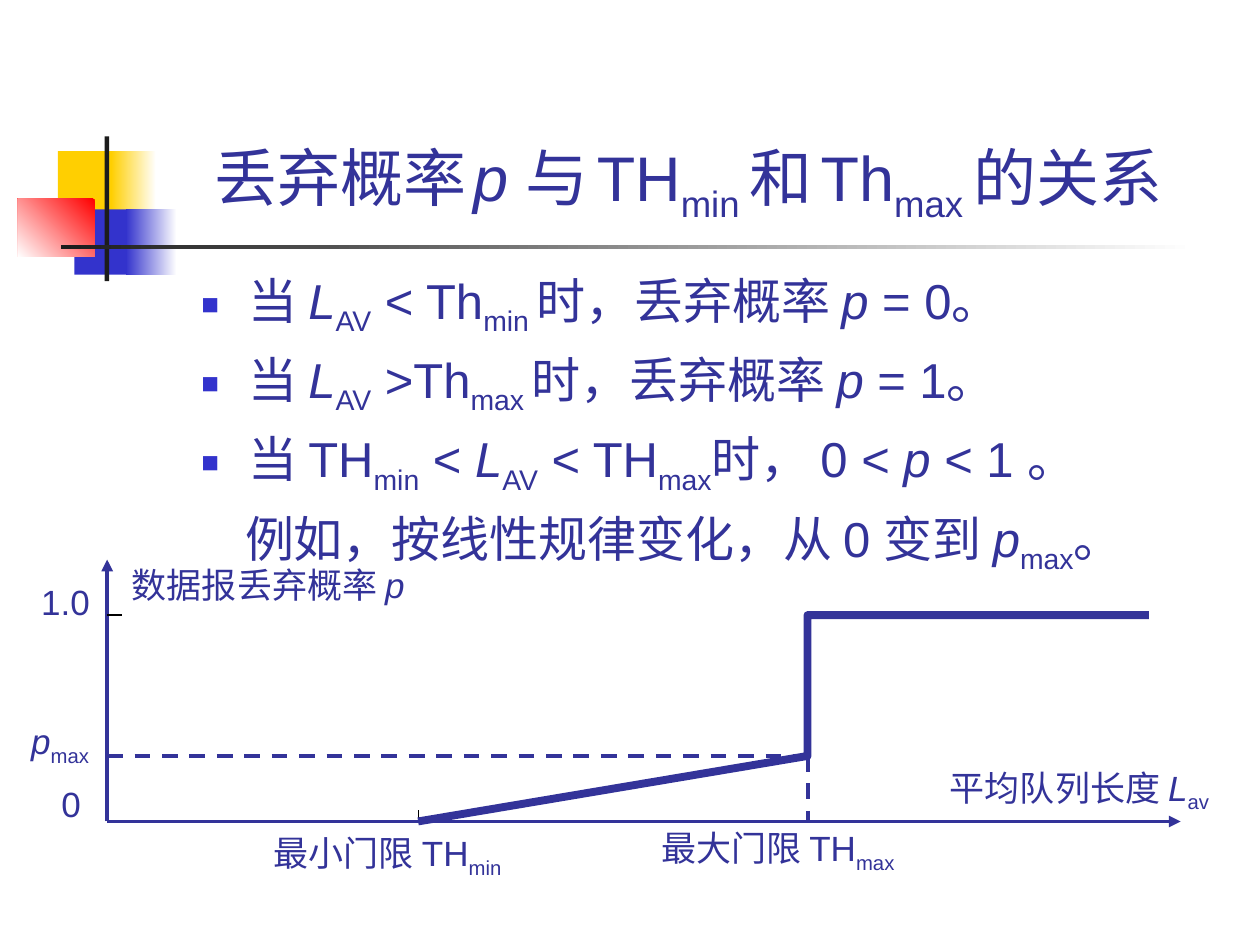
"""Build the slide on drop probability against average queue length."""
from dataclasses import dataclass
from typing import NamedTuple, Optional

from lxml.etree import SubElement
from pptx import Presentation
from pptx.dml.color import RGBColor
from pptx.enum.dml import MSO_LINE
from pptx.enum.shapes import MSO_CONNECTOR, MSO_SHAPE
from pptx.enum.text import MSO_ANCHOR, MSO_AUTO_SIZE, PP_ALIGN
from pptx.oxml.ns import qn
from pptx.util import Cm, Pt


@dataclass(frozen=True)
class Theme:
    font: str = "Arial"
    ink: str = "333399"
    gold: str = "FFCF01"
    blue: str = "3333CC"
    red: str = "FF0000"
    dark: str = "1C1C1C"
    white: str = "FFFFFF"
    black: str = "000000"
    title: int = 36
    body: int = 28
    label: int = 20
    gap: int = 18
    thin: float = 0.75
    line: float = 2.25
    thick: float = 4.5


class Box(NamedTuple):
    left: float
    top: float
    width: float
    height: float


class Block(NamedTuple):
    box: Box
    fill: str
    fade: Optional[str] = None
    angle: int = 180


class Run(NamedTuple):
    text: str
    kind: str = ""
    size: int = 0


class Label(NamedTuple):
    box: Box
    runs: list


class Rule(NamedTuple):
    start: tuple
    end: tuple
    color: str
    width: float
    dash: bool = False
    arrow: bool = False


T = Theme()
LEFT, BASE, RIGHT, TOP = 2.16, 16.56, 23.8, 11.28
MIN, MAX, END = 8.43, 16.28, 23.16
PMAX, ONE = 15.24, 12.4

BLOCKS = [
    Block(Box(1.17, 3.05, 1.22, 1.32), T.gold),
    Block(Box(2.24, 3.05, 0.91, 1.32), T.white, T.gold),
    Block(Box(1.5, 4.22, 1.17, 1.32), T.blue),
    Block(Box(2.54, 4.22, 1.02, 1.32), T.white, T.blue),
    Block(Box(0.36, 4.01, 1.55, 1.17), T.red, T.white, 225),
    Block(Box(2.11, 2.75, 0.09, 2.92), T.dark),
    Block(Box(1.23, 4.94, 22.86, 0.09), T.white, T.dark),
]
TITLE = [
    Run("丢弃概率"), Run(" ", size=T.gap), Run("p ", "i"), Run("与"),
    Run(" ", size=T.label), Run("TH"), Run("min ", "sub"), Run("和"),
    Run(" ", size=T.label), Run("Th"), Run("max ", "sub"), Run("的关系 "),
]
POINTS = [
    [Run("当 "), Run("L", "i"), Run("AV", "sub"), Run(" < Th"), Run("min ", "sub"),
     Run("时，丢弃概率 "), Run("p", "i"), Run(" = 0。")],
    [Run("当 "), Run("L", "i"), Run("AV", "sub"), Run(" >Th"), Run("max ", "sub"),
     Run("时，丢弃概率 "), Run("p", "i"), Run(" = 1。")],
    [Run("当 TH"), Run("min", "sub"), Run(" < "), Run("L", "i"), Run("AV", "sub"),
     Run(" < TH"), Run("max", "sub"), Run("时， 0 < "), Run("p ", "i"), Run("< 1 。")],
]
NOTE = [Run("例如，按线性规律变化，从 0 变到 "), Run("p", "i"), Run("max", "sub"), Run("。")]
LABELS = [
    Label(Box(5.27, 16.64, 5.4, 1.22), [Run("最小门限 TH"), Run("min", "sub")]),
    Label(Box(13.08, 16.54, 5.5, 1.22), [Run("最大门限 TH"), Run("max", "sub")]),
    Label(Box(18.9, 15.32, 6.2, 1.22),
          [Run("平均队列长度 "), Run("L", "i"), Run("av", "sub")]),
    Label(Box(2.41, 11.23, 6.3, 1.12), [Run("数据报丢弃概率 "), Run("p", "i")]),
    Label(Box(0.58, 11.58, 1.7, 1.12), [Run("1.0")]),
    Label(Box(0.99, 15.65, 1, 1.12), [Run("0")]),
    Label(Box(0.38, 14.38, 1.8, 1.22), [Run("p", "i"), Run("max", "sub")]),
]
RULES = [
    Rule((LEFT, BASE), (RIGHT, BASE), T.ink, T.line, arrow=True),
    Rule((LEFT, BASE), (LEFT, TOP), T.ink, T.line, arrow=True),
    Rule((MAX, PMAX), (MAX, BASE), T.ink, T.line, dash=True),
    Rule((LEFT, PMAX), (MAX, PMAX), T.ink, T.line, dash=True),
    Rule((MIN, 16.33), (MIN, BASE), T.black, T.thin),
    Rule((LEFT, ONE), (2.46, ONE), T.black, T.thin),
]
CURVE = [(MIN, BASE), (MAX, PMAX), (MAX, ONE), (END, ONE)]


def rgb(code: str) -> RGBColor:
    return RGBColor.from_string(code)


def draw_block(slide, block: Block) -> None:
    shape = slide.shapes.add_shape(MSO_SHAPE.RECTANGLE, *map(Cm, block.box))
    shape.shadow.inherit = False
    shape.line.fill.background()
    if block.fade is None:
        shape.fill.solid()
        shape.fill.fore_color.rgb = rgb(block.fill)
        return
    shape.fill.gradient()
    shape.fill.gradient_angle = block.angle
    for stop, code in zip(shape.fill.gradient_stops, (block.fill, block.fade)):
        stop.color.rgb = rgb(code)


def draw_rule(slide, rule: Rule) -> None:
    ends = map(Cm, rule.start + rule.end)
    shape = slide.shapes.add_connector(MSO_CONNECTOR.STRAIGHT, *ends)
    shape.line.color.rgb = rgb(rule.color)
    shape.line.width = Pt(rule.width)
    if rule.dash:
        shape.line.dash_style = MSO_LINE.DASH
    if rule.arrow:
        SubElement(shape.line._get_or_add_ln(), qn("a:tailEnd"), type="triangle")
    SubElement(shape._element.spPr, qn("a:effectLst"))


def draw_curve(slide, points: list) -> None:
    first, *rest = [(Cm(x), Cm(y)) for x, y in points]
    curve = slide.shapes.build_freeform(*first)
    curve.add_line_segments(rest, close=False)
    shape = curve.convert_to_shape()
    shape.shadow.inherit = False
    shape.fill.background()
    shape.line.color.rgb = rgb(T.ink)
    shape.line.width = Pt(T.thick)


def add_frame(slide, box: Box, wrap: bool):
    frame = slide.shapes.add_textbox(*map(Cm, box)).text_frame
    frame.word_wrap = wrap
    return frame


def add_runs(para, runs: list, size: int) -> None:
    for item in runs:
        run = para.add_run()
        run.text = item.text
        run.font.name = T.font
        run.font.size = Pt(item.size or size)
        run.font.color.rgb = rgb(T.ink)
        run.font.italic = item.kind == "i"
        if item.kind == "sub":
            run._r.get_or_add_rPr().set("baseline", "-25000")


def draw_label(slide, label: Label) -> None:
    frame = add_frame(slide, label.box, False)
    frame.auto_size = MSO_AUTO_SIZE.SHAPE_TO_FIT_TEXT
    frame.paragraphs[0].alignment = PP_ALIGN.LEFT
    add_runs(frame.paragraphs[0], label.runs, T.label)


def add_bullet(para) -> None:
    props = para._p.get_or_add_pPr()
    props.set("marL", str(Cm(0.95)))
    props.set("indent", str(Cm(-0.95)))
    color = SubElement(props, qn("a:buClr"))
    SubElement(color, qn("a:srgbClr"), val=T.blue)
    SubElement(props, qn("a:buSzPct"), val="60000")
    SubElement(props, qn("a:buFont"), typeface=T.font)
    SubElement(props, qn("a:buChar"), char="■")


def draw_body(slide) -> None:
    frame = add_frame(slide, Box(3.81, 5.33, 21.59, 6.6), True)
    for index, runs in enumerate(POINTS + [NOTE]):
        para = frame.add_paragraph() if index else frame.paragraphs[0]
        if runs is NOTE:
            para._p.get_or_add_pPr().set("marL", str(Cm(0.88)))
        else:
            add_bullet(para)
        if index:
            para.space_before = Pt(7)
        add_runs(para, runs, T.body)


def main() -> None:
    deck = Presentation()
    deck.slide_width, deck.slide_height = Cm(25.4), Cm(19.05)
    slide = deck.slides.add_slide(deck.slide_layouts[6])
    for block in BLOCKS:
        draw_block(slide, block)
    head = add_frame(slide, Box(3.2, 0.6, 21.64, 4.06), True)
    head.vertical_anchor = MSO_ANCHOR.BOTTOM
    head.paragraphs[0].alignment = PP_ALIGN.CENTER
    add_runs(head.paragraphs[0], TITLE, T.title)
    for rule in RULES:
        draw_rule(slide, rule)
    draw_curve(slide, CURVE)
    for label in LABELS:
        draw_label(slide, label)
    draw_body(slide)
    deck.save("out.pptx")


if __name__ == "__main__":
    main()
